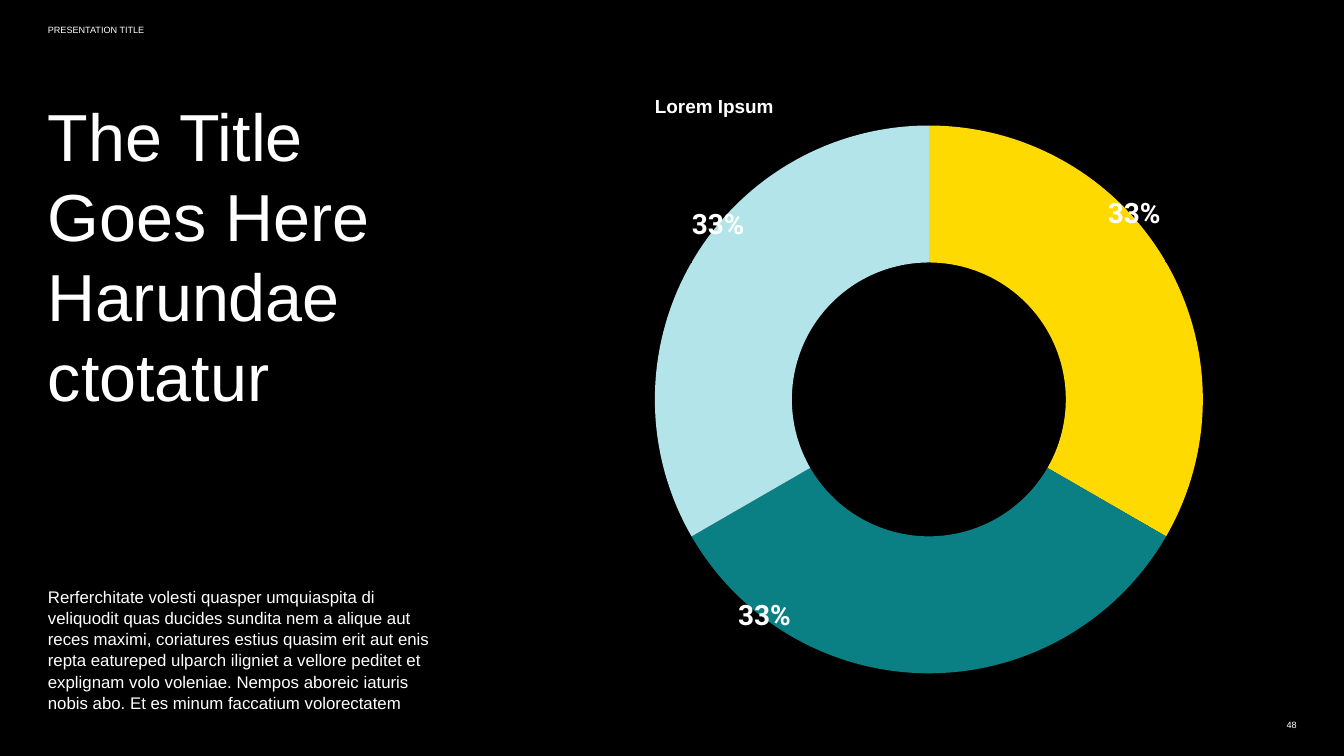
from lxml.etree import SubElement
from pptx import Presentation
from pptx.chart.data import CategoryChartData
from pptx.dml.color import RGBColor
from pptx.enum.chart import XL_CHART_TYPE
from pptx.enum.text import MSO_ANCHOR, PP_ALIGN
from pptx.oxml.ns import qn
from pptx.util import Inches, Pt

HEAD = "PRESENTATION TITLE"
TITLE = "The Title Goes Here Harundae ctotatur"
BODY = [
    "Rerferchitate volesti quasper umquiaspita di",
    "veliquodit quas ducides sundita nem a alique aut",
    "reces maximi, coriatures estius quasim erit aut enis",
    "repta eatureped ulparch iligniet a vellore peditet et",
    "explignam volo voleniae. Nempos aboreic iaturis",
    "nobis abo. Et es minum faccatium volorectatem",
]
LABEL = "Lorem Ipsum"
PAGE = "48"
PARTS = [
    ("1", 0.33, "yellow", (0.05, -0.15)),
    ("2", 0.33, "teal", (-0.3, 0.02)),
    ("3", 0.33, "pale", (-0.06, -0.13)),
]

THEME = {
    "font": "Arial", "digits": "Roboto",
    "back": "000000", "ink": "FFFFFF",
    "yellow": "FFDA00", "teal": "0A8085", "pale": "B2E4EA",
    "title": 95, "value": 40, "label": 27, "body": 24, "small": 13, "chart": 10,
}
LEFT, WIDE = 0.95, 8.05
RING, SIDE = 12.99, 10.87


def color(name):
    return RGBColor.from_string(THEME[name])


def style(font, size, face="font", ink="ink", bold=False):
    font.name = THEME[face]
    font.size = Pt(THEME[size])
    font.color.rgb = color(ink)
    font.bold = bold


def write(slide, text, box, size="small", bold=False, lead=1.0,
          align=PP_ALIGN.LEFT, anchor=MSO_ANCHOR.TOP):
    frame = slide.shapes.add_textbox(*map(Inches, box)).text_frame
    frame.word_wrap = True
    frame.vertical_anchor = anchor
    frame.margin_left = frame.margin_right = 0
    frame.margin_top = frame.margin_bottom = 0
    para = frame.paragraphs[0]
    para.text = text
    para.alignment = align
    para.line_spacing = lead
    for run in para.runs:
        style(run.font, size, bold=bold)


def place(layout, **parts):
    for old in list(layout):
        layout.remove(old)
    node = SubElement(layout, qn("c:manualLayout"))
    for tag, val in parts.items():
        SubElement(node, qn(f"c:{tag}")).set("val", str(val))


def add_ring(slide, box):
    data = CategoryChartData(number_format="0%")
    data.categories = [part[0] for part in PARTS]
    data.add_series("Series 1", [part[1] for part in PARTS])
    chart = slide.shapes.add_chart(
        XL_CHART_TYPE.DOUGHNUT, *map(Inches, box), data).chart
    chart.has_title = chart.has_legend = False
    style(chart.font, "chart", ink="back")

    area = chart.element.find(".//" + qn("c:plotArea"))
    layout = area.find(qn("c:layout"))
    if layout is None:
        layout = SubElement(area, qn("c:layout"))
        area.insert(0, layout)
    place(layout, layoutTarget="inner", xMode="edge", yMode="edge",
          x=0, y=0, w=1, h=1)
    area.find(".//" + qn("c:holeSize")).set("val", "77")

    plot = chart.plots[0]
    plot.vary_by_categories = False
    series = plot.series[0]
    for num, (_, _, hue, shift) in enumerate(PARTS):
        point = series.points[num]
        point.format.fill.solid()
        point.format.fill.fore_color.rgb = color(hue)
        point.format.line.fill.background()
        style(point.data_label.font, "value", face="digits", bold=True)
    tags = chart.element.findall(".//" + qn("c:dLbl"))
    for tag, part in zip(tags, PARTS):
        layout = SubElement(tag, qn("c:layout"))
        tag.insert(1, layout)
        place(layout, x=part[3][0], y=part[3][1])


def main():
    deck = Presentation()
    deck.slide_width, deck.slide_height = Inches(26.66), Inches(15)
    slide = deck.slides.add_slide(deck.slide_layouts[6])
    slide.background.fill.solid()
    slide.background.fill.fore_color.rgb = color("back")

    write(slide, TITLE, (LEFT, 1.89, WIDE, 5.71), size="title")
    write(slide, "\v".join(BODY), (LEFT, 7.84, WIDE, 6.3), size="body",
          lead=1.05, anchor=MSO_ANCHOR.BOTTOM)
    write(slide, HEAD, (LEFT, 0.49, 9, 0.47))
    write(slide, PAGE, (24.59, 14.18, 1.13, 0.42),
          align=PP_ALIGN.RIGHT, anchor=MSO_ANCHOR.MIDDLE)
    add_ring(slide, (RING, 2.49, SIDE, SIDE))
    write(slide, LABEL, (RING, 1.87, SIDE, 0.56), size="label", bold=True)
    deck.save("out.pptx")


if __name__ == "__main__":
    main()
